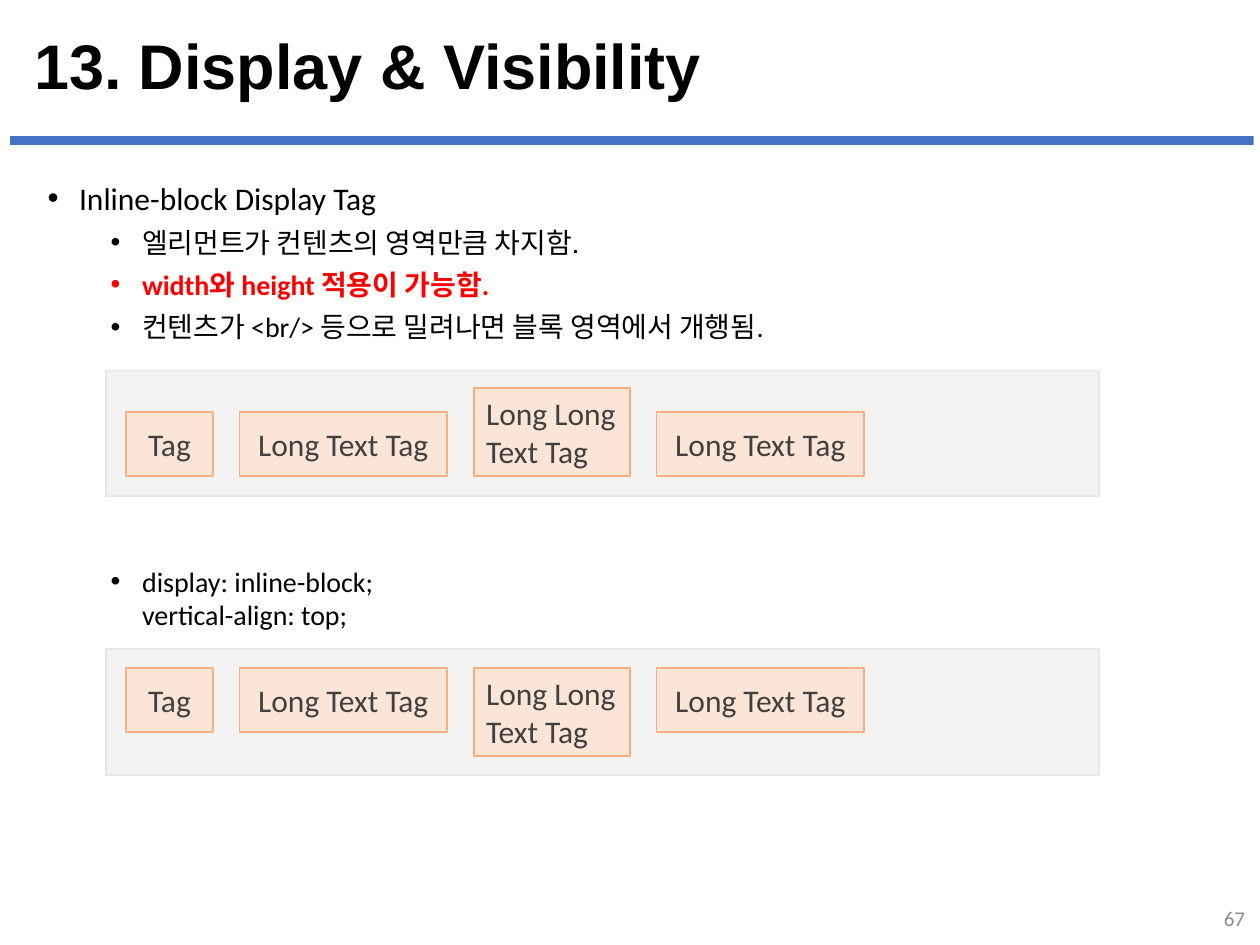
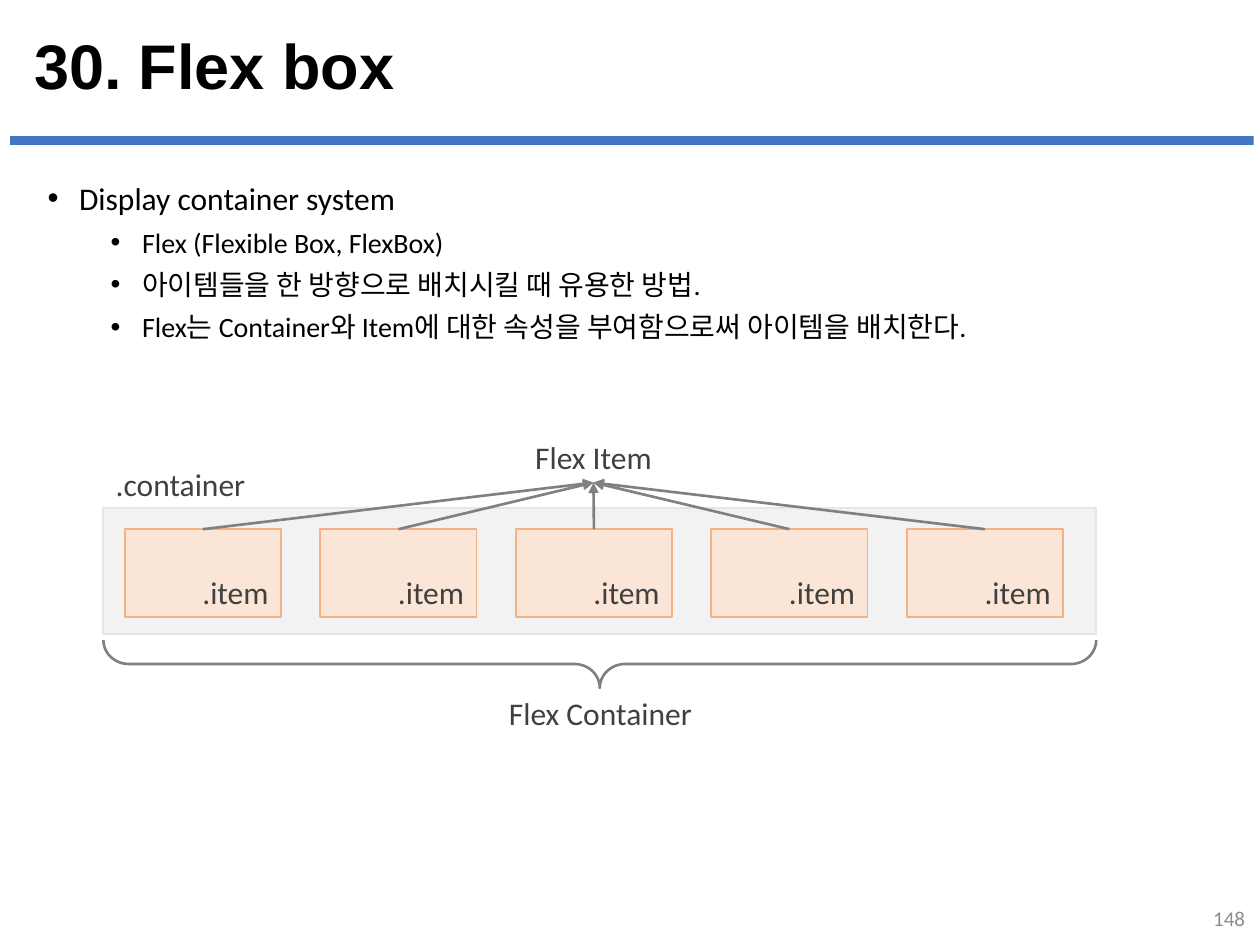
from lxml.etree import SubElement as Sub
from pptx import Presentation
from pptx.dml.color import RGBColor as Rgb
from pptx.enum.shapes import MSO_CONNECTOR as Link, MSO_SHAPE as Shape
from pptx.enum.text import MSO_ANCHOR as Anchor, PP_ALIGN as Align
from pptx.oxml.ns import qn
from pptx.util import Inches, Pt

COLS, ROWS = 100, 75
WIDE, HIGH = Inches(10), Inches(7.5)
INK = {
    "black": "000000", "red": "FF0000", "band": "4472C4", "page": "8C8C8C",
    "panel": "F2F2F2", "edge": "E7E6E6", "tag": "FBE5D6", "rim": "F4B183",
    "text": "404040", "arrow": "808080",
}
PANEL_W, PANEL_H = 78.8, 10


def ink(name):
    return Rgb.from_string(INK[name])


def grid(x, y, w, h):
    col, row = WIDE / COLS, HIGH / ROWS
    return [round(n) for n in (x * col, y * row, w * col, h * row)]


def style(para, size=18, color="text", bold=False, face="Calibri"):
    font = para.font
    font.size, font.name, font.bold = Pt(size), face, bold
    font.color.rgb = ink(color)


def write(shape, text, align=Align.LEFT, anchor=Anchor.TOP, wrap=True, **look):
    frame = shape.text_frame
    frame.word_wrap, frame.vertical_anchor = wrap, anchor
    frame.text = text
    for para in frame.paragraphs:
        para.alignment = align
        style(para, **look)


def label(slide, box, text, **look):
    area = slide.shapes.add_textbox(*grid(*box))
    write(area, text, **look)
    return area


def block(slide, box, fill, line=None, kind=Shape.RECTANGLE, weight=1):
    shape = slide.shapes.add_shape(kind, *grid(*box))
    shape.shadow.inherit = False
    if fill:
        shape.fill.solid()
        shape.fill.fore_color.rgb = ink(fill)
    else:
        shape.fill.background()
    if line:
        shape.line.color.rgb = ink(line)
        shape.line.width = Pt(weight)
    else:
        shape.line.fill.background()
    return shape


def tag(slide, box, text, **look):
    shape = block(slide, box, "tag", "rim")
    write(shape, text, **look)
    return shape


def panel(slide, x, y):
    block(slide, (x, y, PANEL_W, PANEL_H), "panel", "edge")


def bullets(slide, box, items):
    frame = slide.shapes.add_textbox(*grid(*box)).text_frame
    frame.word_wrap = True
    for num, (level, text, color) in enumerate(items):
        para = frame.add_paragraph() if num else frame.paragraphs[0]
        para.text, para.level = text, level
        props = para._p.get_or_add_pPr()
        props.set("marL", str(Inches(0.25 + 0.5 * level)))
        props.set("indent", str(-Inches(0.25)))
        Sub(props, qn("a:buFont")).set("typeface", "Arial")
        Sub(props, qn("a:buChar")).set("char", "•")
        if num:
            para.space_before = Pt(5)
        style(para, 18 - 2 * level, color, color == "red")


def page(deck, title, num):
    slide = deck.slides.add_slide(deck.slide_layouts[5])
    head = slide.shapes.title
    head.left, head.top, head.width, head.height = grid(1.7, 2.2, 96.6, 6.6)
    write(head, title, anchor=Anchor.MIDDLE, size=36, color="black",
          bold=True, face="Arial")
    head.text_frame.paragraphs[0].line_spacing = 0.9
    block(slide, (0.8, 10.8, 98.7, 0.7), "band")
    label(slide, (77.3, 70.9, 22.5, 4), num, align=Align.RIGHT,
          anchor=Anchor.MIDDLE, size=12, color="page")
    return slide


def tag_row(slide, x, y, edge, low):
    panel(slide, x, y)
    left, gap = x + 1.6, 2.1
    long = (16.5, "Long Text Tag")
    for width, text in ((6.9, "Tag"), long, (12.4, "Long Long\nText Tag"), long):
        tall = "\n" in text
        high = 7 if tall else 5.1
        top = y + edge - (high if low else 0)
        tag(slide, (left, top, width, high), text,
            align=Align.LEFT if tall else Align.CENTER,
            anchor=Anchor.TOP if tall else Anchor.MIDDLE)
        left += width + gap


def arrow(slide, start, end):
    line = slide.shapes.add_connector(Link.STRAIGHT, 0, 0, 0, 0)
    line.begin_connect(start, 0)
    line.end_connect(end, 2)
    line.line.color.rgb = ink("arrow")
    line.line.width = Pt(1.5)
    Sub(line.line._get_or_add_ln(), qn("a:tailEnd")).set("type", "triangle")
    Sub(line._element.spPr, qn("a:effectLst"))


def flex(slide, x, y):
    panel(slide, x, y)
    label(slide, (x, y - 3.9, 12.4, 4), ".container", wrap=False)
    items = [tag(slide, (x + 1.7 + 15.52 * n, y + 1.7, 12.4, 7), ".item",
                 align=Align.RIGHT, anchor=Anchor.BOTTOM) for n in range(5)]
    thick = 3.8
    mid = x + PANEL_W / 2
    brace = block(slide, (mid - thick / 2, y + 12.4 - PANEL_W / 2, thick, PANEL_W),
                  None, "arrow", Shape.RIGHT_BRACE, 1.5)
    brace.rotation = 90
    brace.adjustments[0], brace.adjustments[1] = 0.53, 0.5
    label(slide, (mid - 8.3, y + 14.3, 16.7, 4), "Flex Container",
          align=Align.CENTER, wrap=False)
    name = label(slide, (x + 33.2, y - 6, 11.4, 4), "Flex Item",
                 align=Align.CENTER, wrap=False)
    for item in items:
        arrow(slide, item, name)


def inline_page(deck):
    slide = page(deck, "13. Display & Visibility", "67")
    bullets(slide, (2.8, 13.7, 94, 15), [
        (0, "Inline-block Display Tag", "black"),
        (1, "엘리먼트가 컨텐츠의 영역만큼 차지함.", "black"),
        (1, "width와 height 적용이 가능함.", "red"),
        (1, "컨텐츠가 <br/> 등으로 밀려나면 블록 영역에서 개행됨.", "black"),
    ])
    tag_row(slide, 8.4, 29.4, 8.4, True)
    bullets(slide, (2.8, 44.3, 94, 6.5), [
        (1, "display: inline-block;\nvertical-align: top;", "black"),
    ])
    tag_row(slide, 8.4, 51.5, 1.5, False)


def flex_page(deck):
    slide = page(deck, "30. Flex box", "148")
    bullets(slide, (2.8, 13.7, 94, 15), [
        (0, "Display container system", "black"),
        (1, "Flex (Flexible Box, FlexBox)", "black"),
        (1, "아이템들을 한 방향으로 배치시킬 때 유용한 방법.", "black"),
        (1, "Flex는 Container와 Item에 대한 속성을 부여함으로써 아이템을 배치한다.", "black"),
    ])
    flex(slide, 8.2, 40.3)


def main():
    deck = Presentation()
    deck.slide_width, deck.slide_height = WIDE, HIGH
    inline_page(deck)
    flex_page(deck)
    deck.save("out.pptx")


if __name__ == "__main__":
    main()
